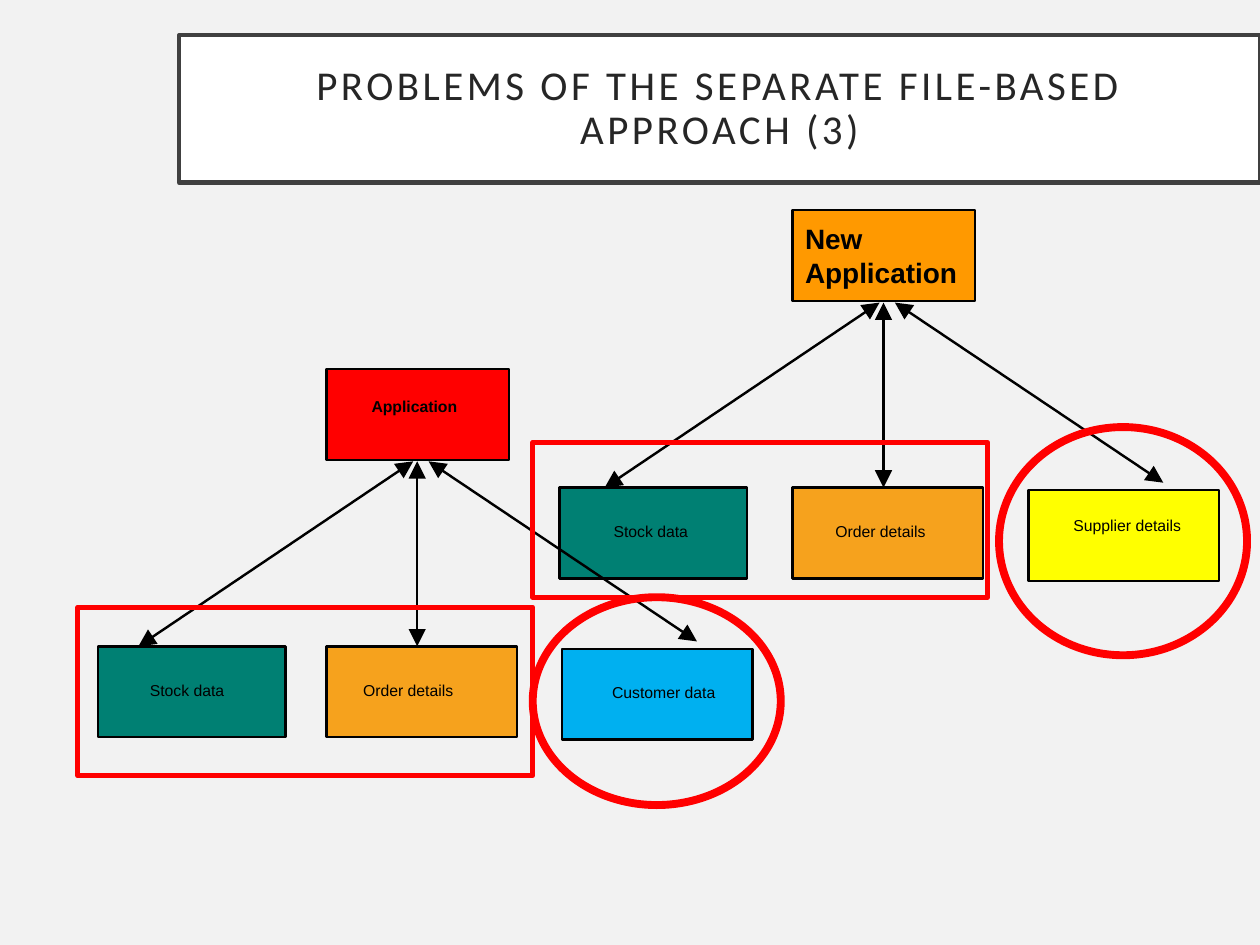
from dataclasses import dataclass
from typing import Optional

from lxml.etree import SubElement
from pptx import Presentation
from pptx.dml.color import RGBColor
from pptx.enum.shapes import MSO_CONNECTOR, MSO_SHAPE
from pptx.enum.text import MSO_ANCHOR, PP_ALIGN
from pptx.oxml.ns import qn
from pptx.util import Cm, Pt

BLACK = RGBColor(0, 0, 0)
WHITE = RGBColor(255, 255, 255)
PAPER = RGBColor(0xF2, 0xF2, 0xF2)
FRAME = RGBColor(0x40, 0x40, 0x40)
INK = RGBColor(0x26, 0x26, 0x26)
RED = RGBColor(255, 0, 0)
TEAL = RGBColor(0, 0x80, 0x73)
AMBER = RGBColor(0xF6, 0xA2, 0x1D)
ORANGE = RGBColor(0xFF, 0x99, 0)
YELLOW = RGBColor(255, 255, 0)
BLUE = RGBColor(0, 0xB0, 0xF0)


@dataclass
class Box:
    left: float
    top: float
    width: float
    height: float = 1.83

    def place(self) -> tuple:
        return Cm(self.left), Cm(self.top), Cm(self.width), Cm(self.height)


@dataclass
class Label:
    text: str
    box: Box
    size: float = 9
    bold: bool = False
    wrap: bool = False


@dataclass
class System:
    x: float
    y: float
    stock: float
    root: RGBColor
    extra: RGBColor
    labels: list[Label]


@dataclass
class Mark:
    kind: MSO_SHAPE
    box: Box
    line: float


ARROWS = [
    (8.41, 9.3, 8.41, 13.03),
    (8.64, 9.3, 14.05, 12.93),
    (8.33, 9.3, 2.79, 13.03),
]

SYSTEMS = [
    System(9.4, -3.2, 11.28, ORANGE, YELLOW, [
        Label("New Application", Box(16.23, 4.47, 3.2, 1.37), 16, True, True),
        Label("Stock data", Box(12.37, 10.52, 1.52, 0.38)),
        Label("Order details", Box(16.84, 10.52, 1.83, 0.38)),
        Label("Supplier details", Box(21.64, 10.39, 2.18, 0.38)),
    ]),
    System(0, 0, 1.98, RED, BLUE, [
        Label("Application", Box(7.49, 8, 1.88, 0.38), bold=True, wrap=True),
        Label("Stock data", Box(3.02, 13.72, 1.52, 0.38)),
        Label("Order details", Box(7.32, 13.72, 1.83, 0.38)),
        Label("Customer data", Box(12.34, 13.77, 2.11, 0.38)),
    ]),
]

MARKS = [
    Mark(MSO_SHAPE.OVAL, Box(20.14, 8.61, 5, 4.6), 4.5),
    Mark(MSO_SHAPE.OVAL, Box(10.74, 12.04, 5, 4.19), 4.5),
    Mark(MSO_SHAPE.RECTANGLE, Box(1.57, 12.24, 9.17, 3.4), 3),
    Mark(MSO_SHAPE.RECTANGLE, Box(10.74, 8.92, 9.17, 3.12), 3),
]

deck = Presentation()
deck.slide_width, deck.slide_height = Cm(25.4), Cm(19.05)
slide = deck.slides.add_slide(deck.slide_layouts[6])
slide.background.fill.solid()
slide.background.fill.fore_color.rgb = PAPER


def draw(box: Box, fill: Optional[RGBColor], line: RGBColor = BLACK,
         width: float = 1.38, kind: MSO_SHAPE = MSO_SHAPE.RECTANGLE):
    shape = slide.shapes.add_shape(kind, *box.place())
    shape.shadow.inherit = False
    if fill is None:
        shape.fill.background()
    else:
        shape.fill.solid()
        shape.fill.fore_color.rgb = fill
    shape.line.color.rgb = line
    shape.line.width = Pt(width)
    return shape


def inset(frame, gap: float) -> None:
    frame.margin_left = frame.margin_right = Cm(gap)
    frame.margin_top = frame.margin_bottom = Cm(gap)


def write(label: Label) -> None:
    frame = slide.shapes.add_textbox(*label.box.place()).text_frame
    inset(frame, 0)
    frame.word_wrap = label.wrap
    para = frame.paragraphs[0]
    para.text = label.text
    font = para.font
    font.name, font.size, font.bold = "Arial", Pt(label.size), label.bold
    font.color.rgb = BLACK


def link(x: float, y: float, end_x: float, end_y: float) -> None:
    arrow = slide.shapes.add_connector(
        MSO_CONNECTOR.STRAIGHT, Cm(x), Cm(y), Cm(end_x), Cm(end_y))
    arrow.line.color.rgb = BLACK
    arrow.line.width = Pt(1.38)
    for end in ("a:headEnd", "a:tailEnd"):
        SubElement(arrow.line._get_or_add_ln(), qn(end),
                   type="triangle", w="lg", len="lg")
    SubElement(arrow._element.spPr, qn("a:effectLst"))


def title(text: str) -> None:
    shape = draw(Box(3.61, 0.71, 21.79, 2.97), WHITE, FRAME, 2.5)
    frame = shape.text_frame
    inset(frame, 0.51)
    frame.word_wrap = True
    frame.vertical_anchor = MSO_ANCHOR.MIDDLE
    para = frame.paragraphs[0]
    para.text = text
    para.alignment = PP_ALIGN.CENTER
    para.line_spacing = 0.9
    para.font.name, para.font.size = "Calibri", Pt(23.4)
    para.font.color.rgb = INK
    para.runs[0].font._element.set("spc", "200")


def build(system: System) -> None:
    x, y = system.x, system.y
    draw(Box(11.33 + x, 13.08 + y, 3.84), system.extra)
    draw(Box(system.stock, 13.03 + y, 3.78), TEAL)
    draw(Box(6.58 + x, 13.03 + y, 3.84), AMBER)
    draw(Box(6.58 + x, 7.44 + y, 3.68), system.root)
    for label in system.labels:
        write(label)
    for left, top, right, base in ARROWS:
        link(left + x, top + y, right + x, base + y)


title("PROBLEMS OF THE SEPARATE FILE-BASED APPROACH (3)")
for system in SYSTEMS:
    build(system)
for mark in MARKS:
    draw(mark.box, None, RED, mark.line, mark.kind)
deck.save("out.pptx")
